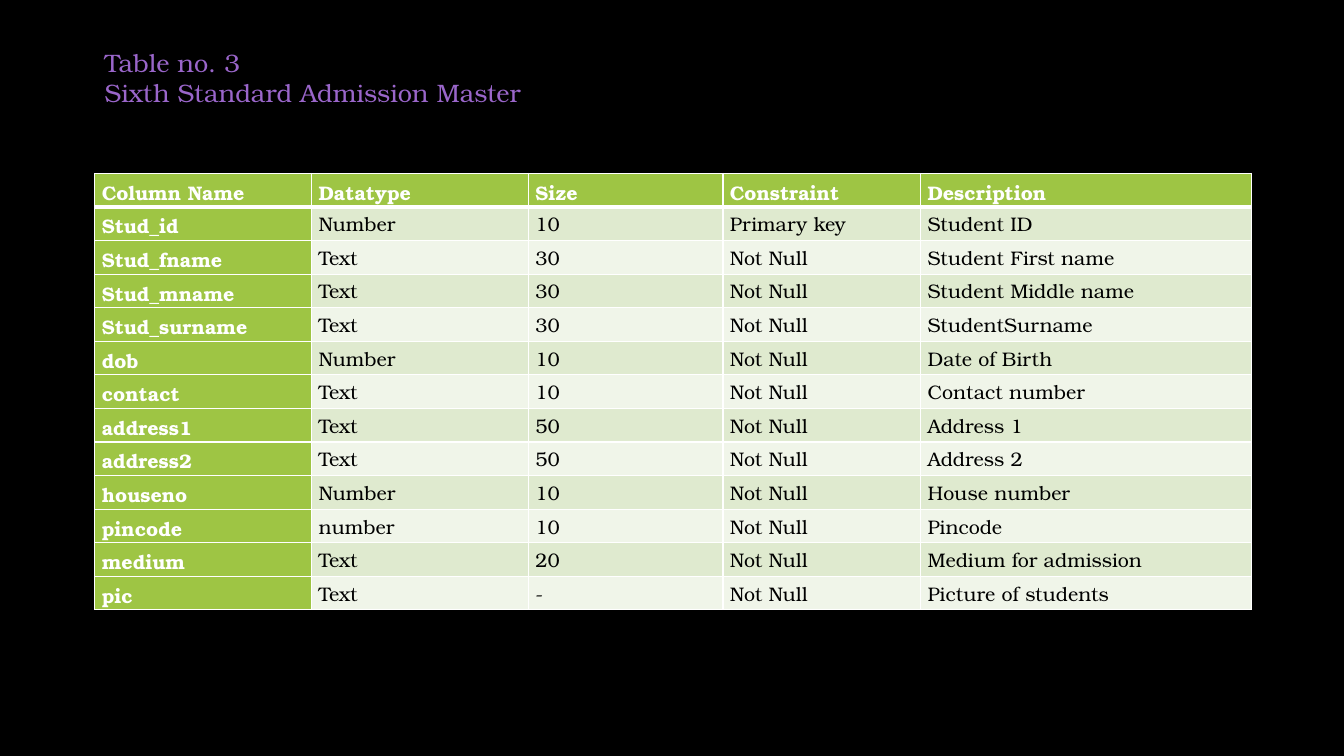
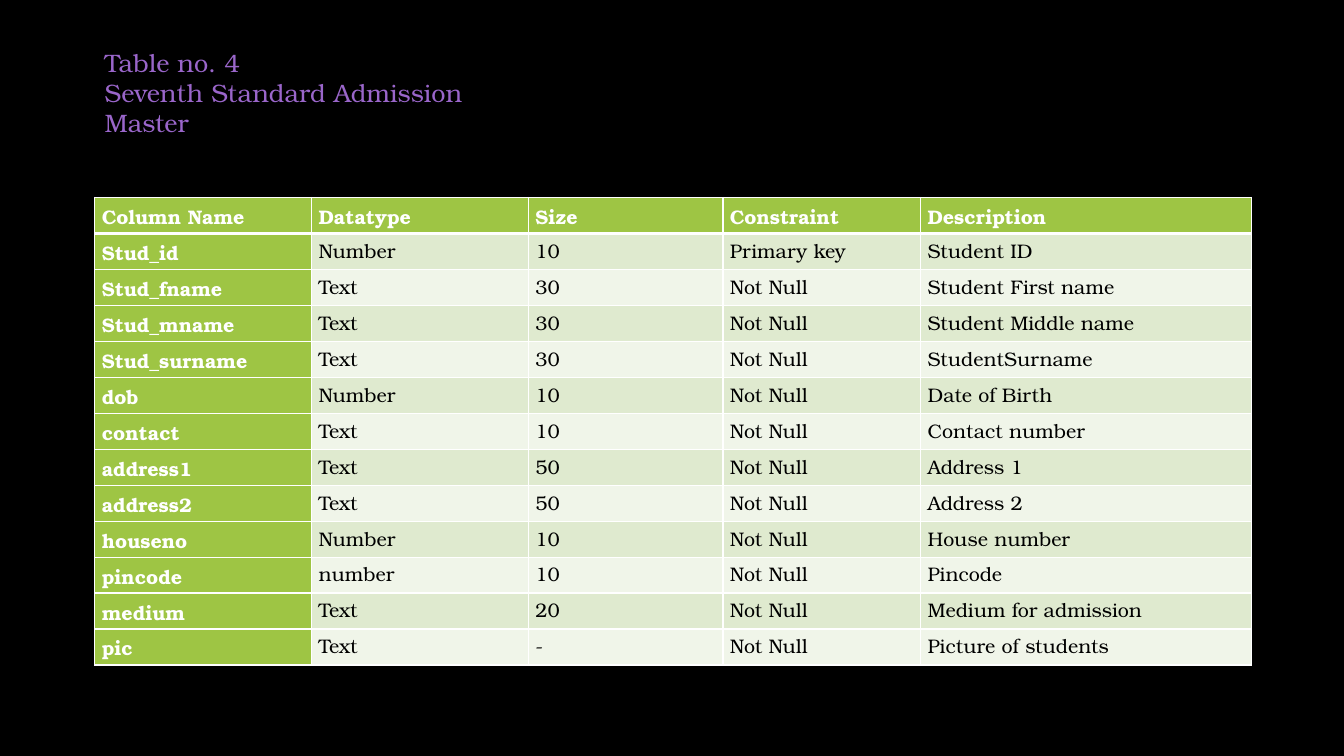
import dataclasses

import lxml.etree
import pptx
import pptx.dml.color
import pptx.enum.text
import pptx.oxml.ns
import pptx.util

Inches = pptx.util.Inches


@dataclasses.dataclass(frozen=True)
class Theme:
    """Colours, font and type sizes shared by the slides."""
    background: str = "000000"
    title: str = "9A66CA"
    accent: str = "9EC544"
    bands: tuple = ("DFEACF", "F0F5E9")
    light: str = "FFFFFF"
    dark: str = "000000"
    font: str = "TeX Gyre Bonum"
    title_size: int = 18
    table_size: int = 14
    thin_line: int = 1
    thick_line: int = 3


THEME = Theme()
TITLE_BOX = (0.94, 0.42, 4.63, 1.01)
COLUMN_WIDTHS = (2.15, 2.15, 1.93, 1.96, 3.28)
FIELDS = (
    ("Column Name", "Datatype", "Size", "Constraint", "Description"),
    ("Stud_id", "Number", "10", "Primary key", "Student ID"),
    ("Stud_fname", "Text", "30", "Not Null", "Student First name"),
    ("Stud_mname", "Text", "30", "Not Null", "Student Middle name"),
    ("Stud_surname", "Text", "30", "Not Null", "StudentSurname"),
    ("dob", "Number", "10", "Not Null", "Date of Birth"),
    ("contact", "Text", "10", "Not Null", "Contact number"),
    ("address1", "Text", "50", "Not Null", "Address 1"),
    ("address2", "Text", "50", "Not Null", "Address 2"),
    ("houseno", "Number", "10", "Not Null", "House number"),
    ("pincode", "number", "10", "Not Null", "Pincode"),
    ("medium", "Text", "20", "Not Null", "Medium for admission"),
    ("pic", "Text", "-", "Not Null", "Picture of students"),
)
SLIDES = (
    (("Table no. 3", "Sixth Standard Admission Master"), (0.94, 1.72, 11.46, 4.33)),
    (("Table no. 4", "Seventh Standard Admission Master"), (0.94, 1.96, 11.46, 4.64)),
)


def rgb(value):
    """Return the colour object for a hex value."""
    return pptx.dml.color.RGBColor.from_string(value)


def add_span(para, text, size, colour, bold=False):
    """Add one styled run to a paragraph."""
    span = para.add_run()
    span.text = text
    span.font.name = THEME.font
    span.font.size = pptx.util.Pt(size)
    span.font.color.rgb = rgb(colour)
    span.font.bold = bold


def add_title(page, lines, bounds):
    """Place the title lines in the given box."""
    box = page.shapes.add_textbox(*map(Inches, bounds))
    frame = box.text_frame
    frame.word_wrap = True
    frame.auto_size = pptx.enum.text.MSO_AUTO_SIZE.SHAPE_TO_FIT_TEXT
    for index, line in enumerate(lines):
        para = frame.add_paragraph() if index else frame.paragraphs[0]
        add_span(para, line, THEME.title_size, THEME.title)


def add_borders(cell, row):
    """Draw white cell borders, thick below the header row."""
    properties = cell._tc.get_or_add_tcPr()
    qualified = pptx.oxml.ns.qn
    for side in ("L", "R", "T", "B"):
        thick = (row, side) in ((0, "B"), (1, "T"))
        width = pptx.util.Pt(THEME.thick_line if thick else THEME.thin_line)
        line = lxml.etree.SubElement(properties, qualified(f"a:ln{side}"), w=str(width))
        fill = lxml.etree.SubElement(line, qualified("a:solidFill"))
        lxml.etree.SubElement(fill, qualified("a:srgbClr"), val=THEME.light)


def fill_cell(cell, text, row, column):
    """Style one cell by its position and write its text."""
    heading = row == 0 or column == 0
    cell.margin_left = cell.margin_right = Inches(0.07)
    cell.margin_top = cell.margin_bottom = 0
    add_borders(cell, row)
    cell.fill.solid()
    cell.fill.fore_color.rgb = rgb(THEME.accent if heading else THEME.bands[(row - 1) % 2])
    para = cell.text_frame.paragraphs[0]
    para.line_spacing = 1.15
    add_span(para, text, THEME.table_size, THEME.light if heading else THEME.dark, heading)


def add_field_table(page, records, bounds):
    """Place the field table with equal rows in the given box."""
    frame = page.shapes.add_table(len(records), len(COLUMN_WIDTHS), *map(Inches, bounds))
    table = frame.table
    for column, width in zip(table.columns, COLUMN_WIDTHS):
        column.width = Inches(width)
    for row, record in enumerate(records):
        table.rows[row].height = Inches(bounds[3] / len(records))
        for column, text in enumerate(record):
            fill_cell(table.cell(row, column), text, row, column)


def add_page(deck, title, table_box):
    """Add one slide with its title and field table."""
    page = deck.slides.add_slide(deck.slide_layouts[6])
    page.background.fill.solid()
    page.background.fill.fore_color.rgb = rgb(THEME.background)
    add_title(page, title, TITLE_BOX)
    add_field_table(page, FIELDS, table_box)


def main():
    """Build and save the deck."""
    deck = pptx.Presentation()
    deck.slide_width = Inches(13.33)
    deck.slide_height = Inches(7.5)
    for title, table_box in SLIDES:
        add_page(deck, title, table_box)
    deck.save("out.pptx")


if __name__ == "__main__":
    main()
